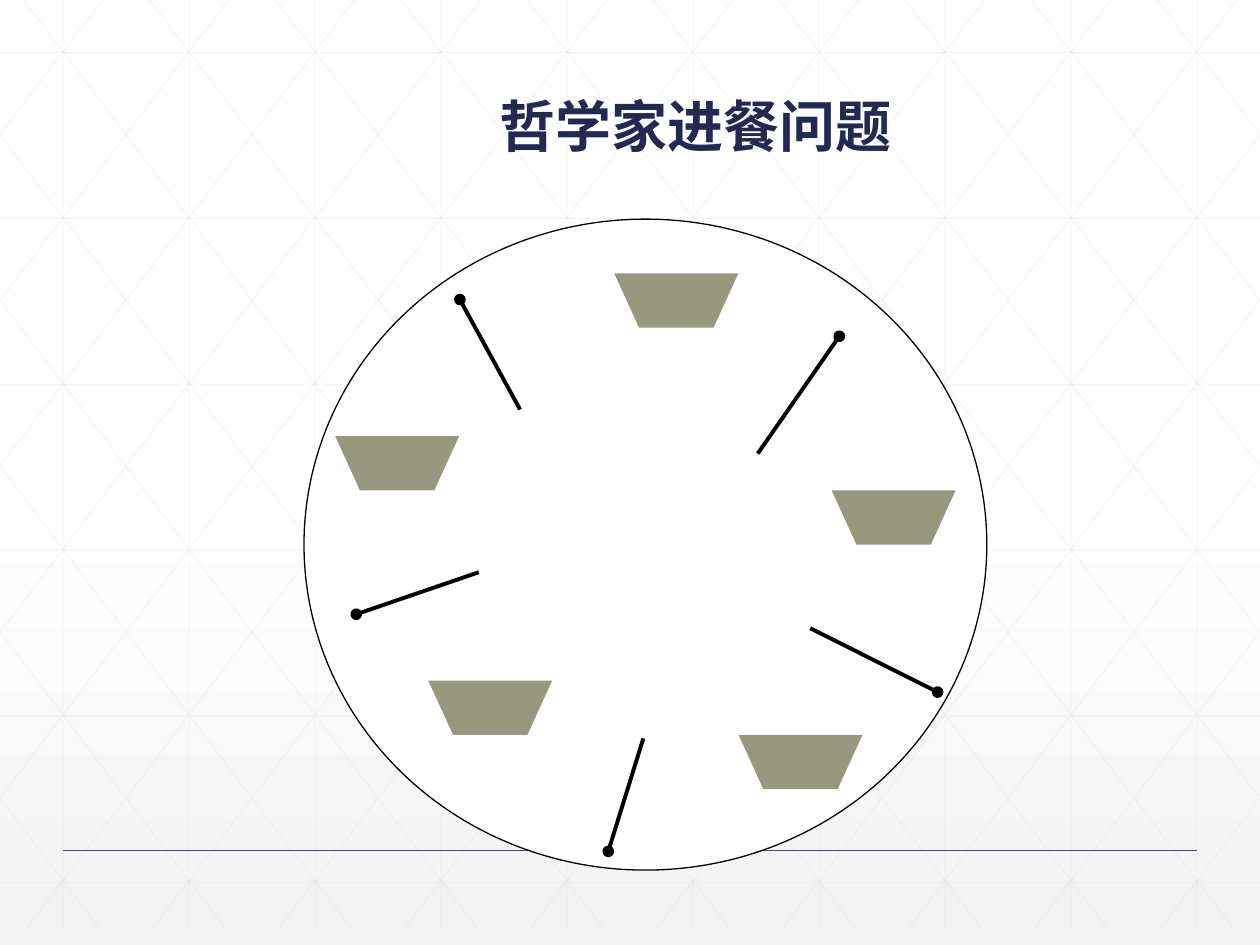
from lxml import etree
from pptx import Presentation
from pptx.dml.color import RGBColor
from pptx.enum.shapes import MSO_CONNECTOR, MSO_SHAPE
from pptx.enum.text import MSO_ANCHOR, PP_ALIGN
from pptx.oxml.ns import qn
from pptx.util import Pt

STRAIGHT = MSO_CONNECTOR.STRAIGHT
ELLIPSE = MSO_SHAPE.OVAL
BOWL = MSO_SHAPE.FLOWCHART_MANUAL_OPERATION
CENTER = PP_ALIGN.CENTER
TOP = MSO_ANCHOR.TOP

W, H = 720, 540
GRID_H = 530.6
SLOPE = 0.76
COLORS = {
    "white": "FFFFFF",
    "shade": "F2F2F2",
    "grid": "D9D9D9",
    "rule": "384C81",
    "black": "000000",
    "bowl": "333300",
    "title": "242852",
}
CHOPSTICKS = [
    (262.8, 171.2, 297.2, 234),
    (479.6, 192.2, 433, 259.2),
    (535.8, 395.5, 463, 359),
    (347.6, 486.5, 367.6, 422),
    (203.6, 351, 273.6, 327),
]
BOWLS = [(191.5, 249.2), (351, 156.3), (475.2, 280.2), (422, 419.9), (244.7, 388.9)]


def rgb(name):
    return RGBColor.from_string(COLORS[name])


def set_alpha(fill, percent):
    color = fill._xPr.find(".//" + qn("a:srgbClr"))
    etree.SubElement(color, qn("a:alpha"), val=str(percent * 1000))


def set_background(s):
    fill = s.background.fill
    fill.gradient()
    fill.gradient_angle = 270
    for stop, position, name in zip(fill.gradient_stops, (0.53, 1), ("white", "shade")):
        stop.position = position
        stop.color.rgb = rgb(name)


def add_line(s, x1, y1, x2, y2, color, width, alpha=None, head=None):
    line = s.shapes.add_connector(STRAIGHT, Pt(x1), Pt(y1), Pt(x2), Pt(y2))
    line.line.color.rgb = rgb(color)
    line.line.width = Pt(width)
    if alpha:
        set_alpha(line.line.fill, alpha)
    if head:
        etree.SubElement(line.line._get_or_add_ln(), qn("a:headEnd"), type=head)
    etree.SubElement(line._element.spPr, qn("a:effectLst"))


def add_grid(s):
    lines = [(x, 0, x, GRID_H) for x in range(36, W, 72)]
    lines += [(0, 30 + 94.8 * i, W, 30 + 94.8 * i) for i in range(6)]
    for i in range(-5, 10):
        x = 13.5 + 72 * i
        top = max(0, -x / SLOPE)
        bottom = min(GRID_H, (W - x) / SLOPE)
        x1, x2 = x + SLOPE * top, x + SLOPE * bottom
        lines += [(x1, top, x2, bottom), (W - x1, top, W - x2, bottom)]
    for ends in lines:
        add_line(s, *ends, "grid", 0.5, alpha=25)


def add_solid(s, kind, x, y, w, h, color, alpha=None, outline=None):
    sp = s.shapes.add_shape(kind, Pt(x), Pt(y), Pt(w), Pt(h))
    sp.shadow.inherit = False
    sp.fill.solid()
    sp.fill.fore_color.rgb = rgb(color)
    if alpha:
        set_alpha(sp.fill, alpha)
    if outline:
        sp.line.color.rgb = rgb(outline)
        sp.line.width = Pt(0.75)
    else:
        sp.line.fill.background()


def add_title(s, text):
    tf = s.shapes.add_textbox(Pt(90.7), Pt(49), Pt(613.4), Pt(90)).text_frame
    tf.word_wrap = True
    tf.vertical_anchor = TOP
    p = tf.paragraphs[0]
    p.alignment = CENTER
    r = p.add_run()
    r.text = text
    r.font.name = "Montserrat"
    r.font.size = Pt(32)
    r.font.bold = True
    r.font.color.rgb = rgb("title")


def main():
    prs = Presentation()
    prs.slide_width, prs.slide_height = Pt(W), Pt(H)
    s = prs.slides.add_slide(prs.slide_layouts[6])
    set_background(s)
    add_grid(s)
    add_line(s, 36, 486, 684, 486, "rule", 1)
    add_solid(s, ELLIPSE, 173.7, 125.2, 390.2, 372, "white", outline="black")
    for ends in CHOPSTICKS:
        add_line(s, *ends, "black", 2.25, head="oval")
    for x, y in BOWLS:
        add_solid(s, BOWL, x, y, 70.9, 31, "bowl", alpha=50)
    add_title(s, "哲学家进餐问题")
    prs.save("out.pptx")


if __name__ == "__main__":
    main()
